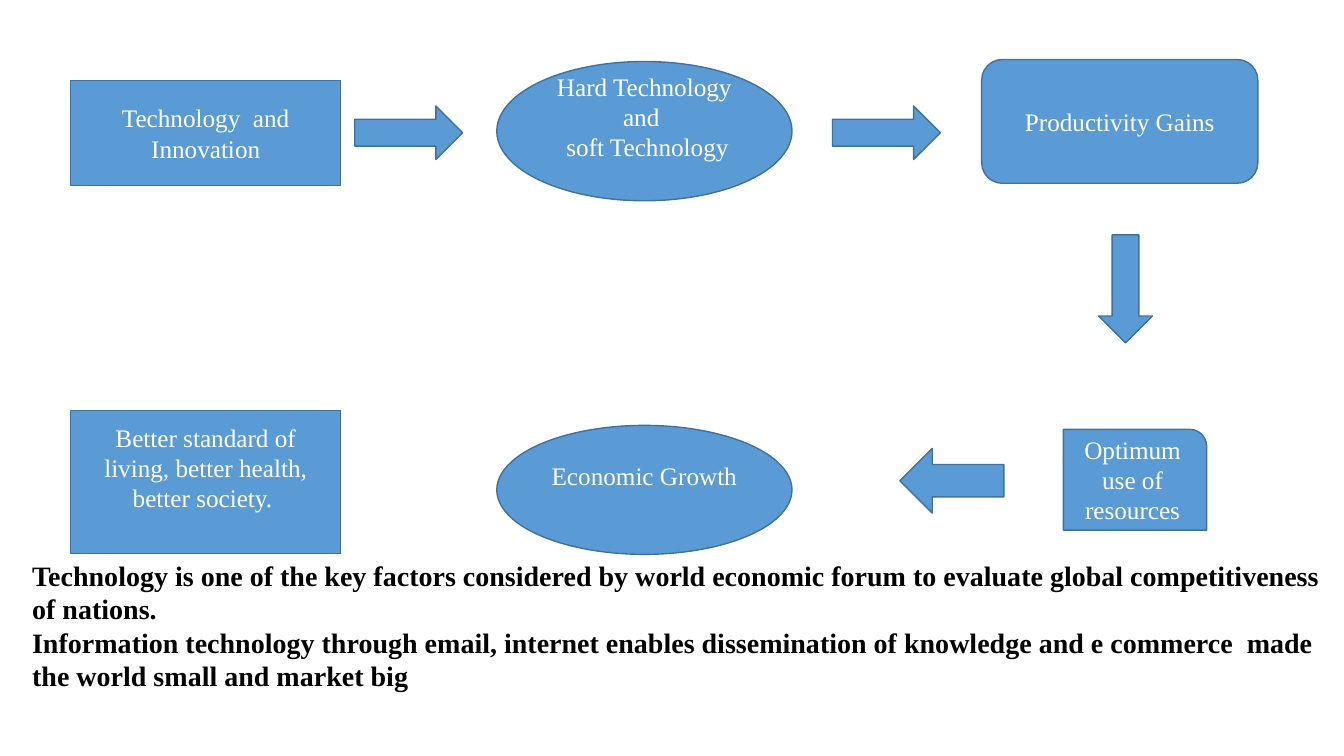
"""Build a slide showing how technology leads to growth and better living."""
from dataclasses import dataclass

from pptx import Presentation
from pptx.dml.color import RGBColor
from pptx.enum.shapes import MSO_SHAPE
from pptx.enum.text import MSO_ANCHOR, MSO_AUTO_SIZE, PP_ALIGN
from pptx.slide import Slide
from pptx.text.text import TextFrame
from pptx.util import Cm, Pt

RECT = MSO_SHAPE.RECTANGLE
OVAL = MSO_SHAPE.OVAL
ROUNDED = MSO_SHAPE.ROUNDED_RECTANGLE
ONE_ROUNDED = MSO_SHAPE.ROUND_1_RECTANGLE
RIGHT = MSO_SHAPE.RIGHT_ARROW
DOWN = MSO_SHAPE.DOWN_ARROW
LEFT = MSO_SHAPE.LEFT_ARROW
MIDDLE = MSO_ANCHOR.MIDDLE
CENTER = PP_ALIGN.CENTER
FIT_SHAPE = MSO_AUTO_SIZE.SHAPE_TO_FIT_TEXT

BLUE = RGBColor(0x5B, 0x9B, 0xD5)
DARK_BLUE = RGBColor(0x41, 0x71, 0x9C)
WHITE = RGBColor(0xFF, 0xFF, 0xFF)
BLACK = RGBColor(0x00, 0x00, 0x00)
FONT = "Times New Roman"
BLANK_LAYOUT = 6
RAISED = 0.86


@dataclass(frozen=True)
class Block:
    """A flow step or arrow, with lengths in centimetres."""
    kind: MSO_SHAPE
    left: float
    top: float
    width: float
    height: float
    lines: tuple[str, ...] = ()
    bottom_inset: float = 0.13


BLOCKS = (
    Block(RECT, 1.78, 2.03, 6.81, 2.64, ("Technology  and Innovation",)),
    Block(OVAL, 12.52, 1.55, 7.44, 3.51,
          ("Hard Technology and ", " soft Technology"), RAISED),
    Block(ROUNDED, 24.74, 1.5, 6.96, 3.12, ("Productivity Gains",)),
    Block(OVAL, 12.52, 10.72, 7.44, 3.25, ("Economic Growth",), RAISED),
    Block(RIGHT, 8.94, 2.67, 2.72, 1.35),
    Block(RIGHT, 20.98, 2.67, 2.72, 1.35),
    Block(DOWN, 27.69, 5.92, 1.35, 2.72),
    Block(ONE_ROUNDED, 26.8, 10.82, 3.61, 2.54, ("Optimum use of resources",)),
    Block(LEFT, 22.68, 11.3, 2.62, 1.63),
    Block(RECT, 1.78, 10.34, 6.81, 3.61,
          ("Better standard of living, better health, better society. ",), RAISED),
)

SUMMARY = (
    "Technology is one of the key factors considered by world economic forum "
    "to evaluate global competitiveness of nations.",
    "Information technology through email, internet enables dissemination of "
    "knowledge and e commerce  made the world small and market big",
)


def write_lines(tf: TextFrame, lines: tuple[str, ...], size: int,
                color: RGBColor, bold: bool = False) -> None:
    """Fill a text frame with one paragraph per line."""
    tf.word_wrap = True
    tf.text = "\n".join(lines)
    for p in tf.paragraphs:
        p.font.name = FONT
        p.font.size = Pt(size)
        p.font.bold = bold
        p.font.color.rgb = color


def add_block(s: Slide, block: Block) -> None:
    """Draw a step or arrow of the flow."""
    sp = s.shapes.add_shape(block.kind, Cm(block.left), Cm(block.top),
                            Cm(block.width), Cm(block.height))
    sp.shadow.inherit = False
    sp.fill.solid()
    sp.fill.fore_color.rgb = BLUE
    sp.line.color.rgb = DARK_BLUE
    sp.line.width = Pt(1)
    if block.lines:
        tf = sp.text_frame
        tf.vertical_anchor = MIDDLE
        tf.margin_bottom = Cm(block.bottom_inset)
        write_lines(tf, block.lines, 18, WHITE)
        for p in tf.paragraphs:
            p.alignment = CENTER


def add_summary(s: Slide) -> None:
    """Add the closing statements below the flow."""
    tf = s.shapes.add_textbox(Cm(0.56), Cm(13.94), Cm(33.32), Cm(3.68)).text_frame
    tf.auto_size = FIT_SHAPE
    write_lines(tf, SUMMARY, 20, BLACK, bold=True)


def main() -> None:
    """Create and save the presentation."""
    prs = Presentation()
    prs.slide_width = Cm(33.87)
    prs.slide_height = Cm(19.05)
    s = prs.slides.add_slide(prs.slide_layouts[BLANK_LAYOUT])
    for block in BLOCKS:
        add_block(s, block)
    add_summary(s)
    prs.save("out.pptx")


if __name__ == "__main__":
    main()
